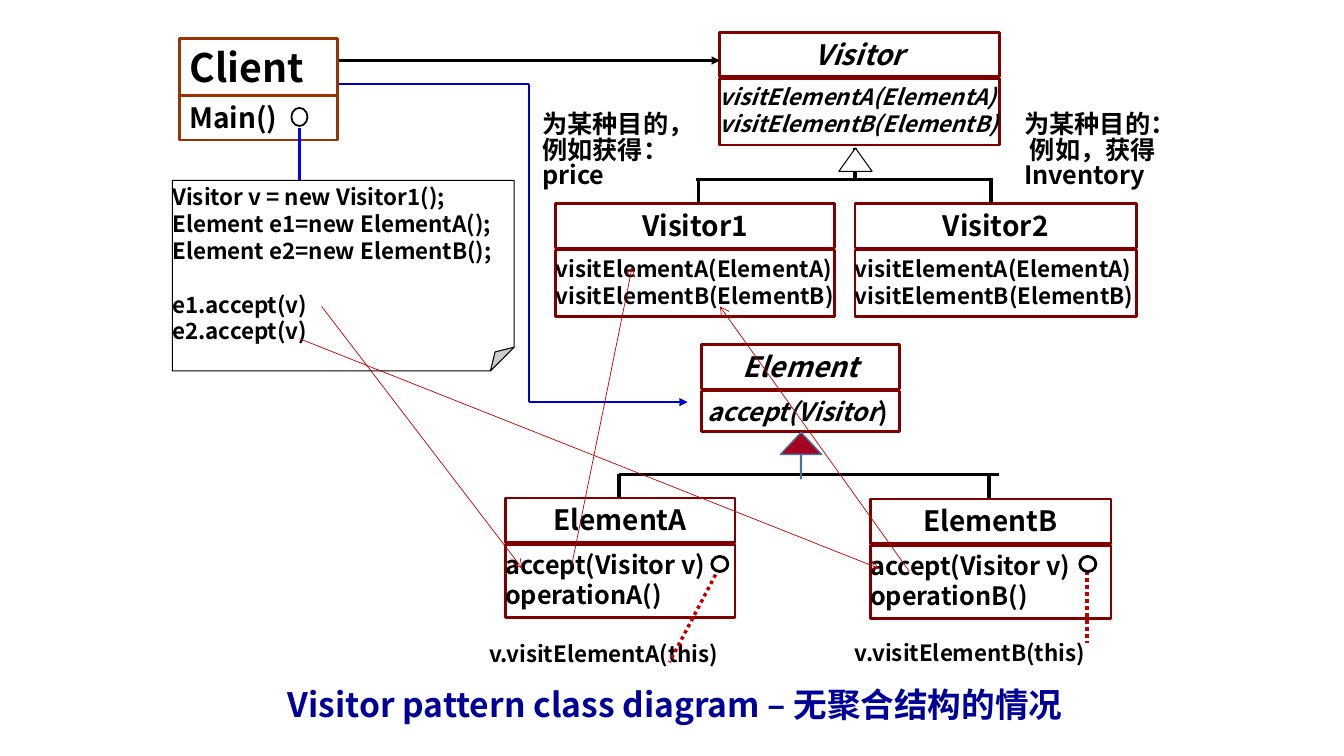
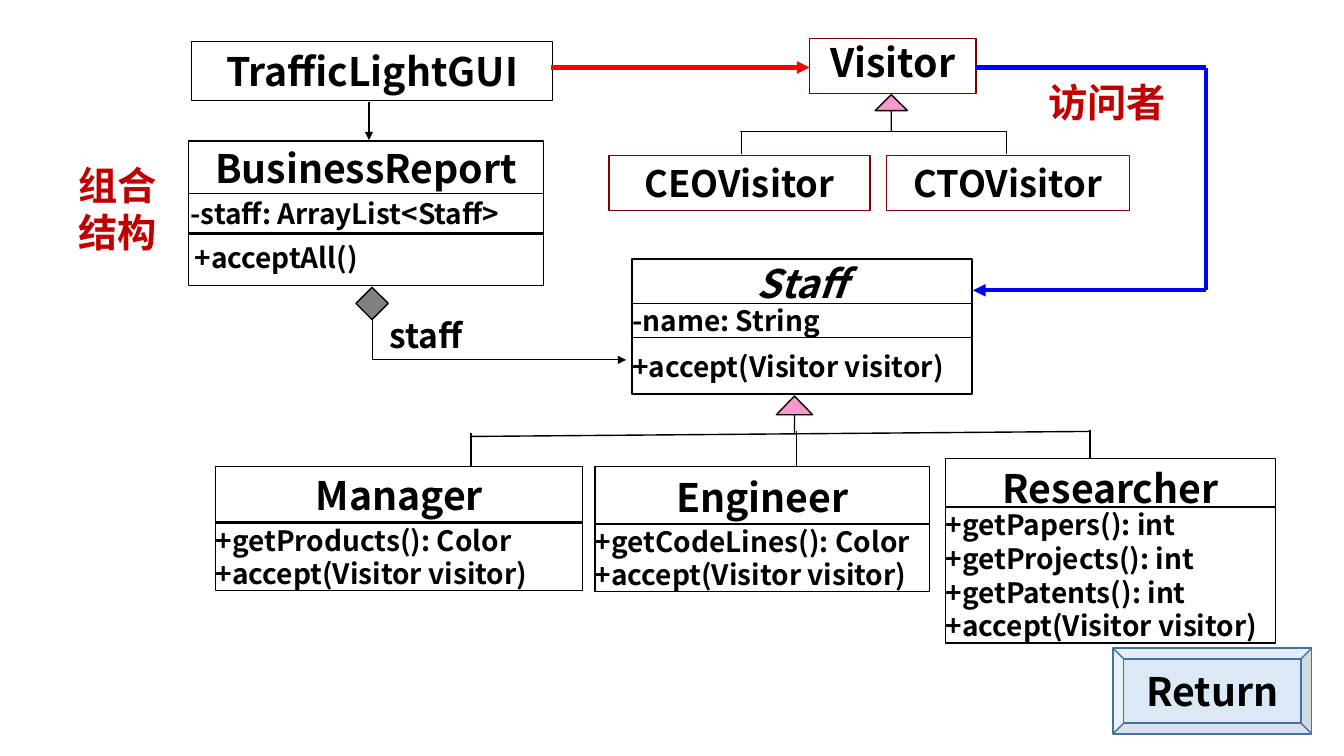
from dataclasses import dataclass, replace
from itertools import pairwise
from typing import Optional

from lxml.etree import SubElement
from pptx import Presentation
from pptx.dml.color import RGBColor
from pptx.enum.dml import MSO_LINE
from pptx.enum.shapes import MSO_CONNECTOR, MSO_SHAPE
from pptx.enum.text import MSO_ANCHOR, PP_ALIGN
from pptx.oxml.ns import qn
from pptx.util import Inches, Pt

Point = tuple[float, float]
Area = tuple[float, float, float, float]


class Theme:
    """Shared font, colours and type sizes."""
    font = "Noto Sans CJK SC"
    black, white, gray = "000000", "FFFFFF", "808080"
    maroon, brown, crimson = "800000", "993300", "C00000"
    red, wine, pink = "FF0000", "A50021", "FF99CC"
    navy, route_blue, blue = "000099", "0000CC", "0000FF"
    steel, button = "43739E", "5B9BD5"
    heading, subheading, title, name, member, code = 28, 26, 24, 20, 18, 16


@dataclass(frozen=True)
class TextStyle:
    size: int
    color: str = Theme.black
    italic: bool = False
    align: PP_ALIGN = PP_ALIGN.LEFT
    anchor: MSO_ANCHOR = MSO_ANCHOR.TOP
    side: float = 0.1
    edge: float = 0.05
    line_spacing: Optional[float] = None


@dataclass(frozen=True)
class Compartment:
    top: float
    height: float
    lines: tuple[str, ...]
    style: TextStyle


@dataclass(frozen=True)
class UmlClass:
    left: float
    width: float
    compartments: tuple[Compartment, ...]
    border: str = Theme.black
    weight: float = 1


@dataclass(frozen=True)
class Stroke:
    color: str = Theme.black
    weight: float = 1
    head: Optional[str] = None
    dash: Optional[MSO_LINE] = None


# Text styles
NAME = TextStyle(Theme.name, align=PP_ALIGN.CENTER)
CODE = TextStyle(Theme.code, side=0)
MEMBER = replace(CODE, size=Theme.member)
CAPTION = TextStyle(Theme.member, line_spacing=0.85)
FIELD = TextStyle(Theme.name, anchor=MSO_ANCHOR.MIDDLE, side=0, edge=0)
HEADING = replace(FIELD, size=Theme.heading, align=PP_ALIGN.CENTER)
RED_LABEL = TextStyle(Theme.heading, Theme.crimson)


# Drawing functions
def write_text(shape, lines: tuple[str, ...], style: TextStyle) -> None:
    frame = shape.text_frame
    frame_format = {
        "word_wrap": True, "vertical_anchor": style.anchor,
        "margin_left": Inches(style.side), "margin_right": Inches(style.side),
        "margin_top": Inches(style.edge), "margin_bottom": Inches(style.edge),
    }
    for attribute, value in frame_format.items():
        setattr(frame, attribute, value)
    for index, line in enumerate(lines):
        paragraph = frame.add_paragraph() if index else frame.paragraphs[0]
        paragraph.alignment = style.align
        paragraph.line_spacing = style.line_spacing
        add_run(paragraph, line, style)


def add_run(paragraph, text: str, style: TextStyle) -> None:
    run = paragraph.add_run()
    run.text = text
    font_format = {"name": Theme.font, "size": Pt(style.size), "bold": True,
                   "italic": style.italic}
    for attribute, value in font_format.items():
        setattr(run.font, attribute, value)
    run.font.color.rgb = RGBColor.from_string(style.color)
    SubElement(run.font._element, qn("a:ea")).set("typeface", Theme.font)


def add_shape(slide, kind: MSO_SHAPE, at: Area, fill: str = Theme.white,
              border: Optional[str] = Theme.black, weight: float = 1,
              guides: Optional[dict[str, int]] = None):
    shape = slide.shapes.add_shape(kind, *map(Inches, at))
    shape.shadow.inherit = False
    shape.fill.solid()
    shape.fill.fore_color.rgb = RGBColor.from_string(fill)
    if border:
        shape.line.color.rgb = RGBColor.from_string(border)
        shape.line.width = Pt(weight)
    else:
        shape.line.fill.background()
    if guides:
        geometry = shape._element.spPr.find(qn("a:prstGeom"))
        geometry.rewrite_guides(list(guides.items()))
    return shape


def add_block(slide, at: Area, text: str, style: TextStyle) -> None:
    """Add text on a white block without a border."""
    block = add_shape(slide, MSO_SHAPE.RECTANGLE, at, border=None)
    write_text(block, (text,), style)


def add_label(slide, at: Area, text: str, style: TextStyle) -> None:
    write_text(slide.shapes.add_textbox(*map(Inches, at)), (text,), style)


def add_class(slide, uml: UmlClass) -> None:
    for part in uml.compartments:
        at = (uml.left, part.top, uml.width, part.height)
        shape = add_shape(slide, MSO_SHAPE.RECTANGLE, at, border=uml.border, weight=uml.weight)
        write_text(shape, part.lines, part.style)


def add_route(slide, stroke: Stroke, *points: Point) -> None:
    """Join the points with straight connectors; the last one has the head."""
    for start, end in pairwise(points):
        connector = slide.shapes.add_connector(MSO_CONNECTOR.STRAIGHT, *map(Inches, start + end))
        connector.line.color.rgb = RGBColor.from_string(stroke.color)
        connector.line.width = Pt(stroke.weight)
        if stroke.dash:
            connector.line.dash_style = stroke.dash
        if stroke.head and end == points[-1]:
            tail = SubElement(connector._element.spPr.find(qn("a:ln")), qn("a:tailEnd"))
            tail.set("type", stroke.head)
        SubElement(connector._element.spPr, qn("a:effectLst"))


def add_tree(slide, stroke: Stroke, bar: tuple[Point, Point],
             *drops: tuple[float, float, float]) -> None:
    """Draw an inheritance bar and its (x, top, bottom) drops."""
    add_route(slide, stroke, *bar)
    for x, top, bottom in drops:
        add_route(slide, stroke, (x, top), (x, bottom))


def pattern_class(left: float, top: float, width: float, name: str, height: float,
                  members: tuple[str, ...], style: TextStyle, italic: bool = False) -> UmlClass:
    return UmlClass(left, width, (
        Compartment(top, 0.44, (name,), replace(NAME, italic=italic)),
        Compartment(top + 0.46, height, members, replace(style, italic=italic)),
    ), Theme.maroon, 2)


def build_pattern_slide(slide) -> None:
    thick = Stroke(weight=2.5)
    visits = ("visitElementA(ElementA)", "visitElementB(ElementB)")

    # Visitor hierarchy
    for left, top, width, name, italic in ((7.14, 0.32, 2.77, "Visitor", True),
                                           (5.51, 2.02, 2.77, "Visitor1", False),
                                           (8.48, 2.02, 2.79, "Visitor2", False)):
        add_class(slide, pattern_class(left, top, width, name, 0.66, visits, CODE, italic))
    add_tree(slide, thick, ((6.9, 1.78), (9.85, 1.78)),
             (9.83, 1.78, 2.01), (6.93, 1.78, 2.01), (8.48, 1.47, 1.78))
    add_shape(slide, MSO_SHAPE.ISOSCELES_TRIANGLE, (8.32, 1.47, 0.33, 0.23), weight=0.75)

    # Element hierarchy
    signature_style = replace(MEMBER, side=0.06)
    add_class(slide, pattern_class(6.96, 3.42, 1.96, "Element", 0.4, ("accept(Visitor",),
                                   signature_style, True))
    add_run(slide.shapes[-1].text_frame.paragraphs[0], ")", signature_style)
    add_tree(slide, thick, ((6.14, 4.71), (9.91, 4.71)), (6.14, 4.7, 4.94), (9.81, 4.72, 4.96))
    for letter, left, top, width in (("A", 5.01, 4.94, 2.28), ("B", 8.63, 4.95, 2.39)):
        members = ("accept(Visitor v)", f"operation{letter}()")
        add_class(slide, pattern_class(left, top, width, f"Element{letter}", 0.73, members, MEMBER))
    add_shape(slide, MSO_SHAPE.UP_ARROW, (7.74, 4.29, 0.41, 0.46), Theme.wine, Theme.steel,
              guides={"adj1": 2300, "adj2": 53400})

    # Calls made inside accept
    dotted = Stroke(Theme.crimson, 2.5, dash=MSO_LINE.ROUND_DOT)
    for letter, call, circle, start, end in (
            ("A", (4.85, 6.3, 2.29, 0.37), 7.06, (7.13, 5.64), (6.64, 6.57)),
            ("B", (8.48, 6.29, 2.83, 0.37), 10.71, (10.78, 5.6), (10.78, 6.38))):
        add_block(slide, call, f"v.visitElement{letter}(this)", CODE)
        add_route(slide, dotted, start, end)
        add_shape(slide, MSO_SHAPE.OVAL, (circle, 5.52, 0.16, 0.15), weight=2)

    # Captions and title
    add_block(slide, (5.28, 1.07, 1.5, 0.87), "为某种目的，例如获得： price", CAPTION)
    add_block(slide, (10.06, 1.07, 1.57, 0.87), "为某种目的： 例如，获得Inventory", CAPTION)
    add_label(slide, (2.44, 6.74, 8.51, 0.5), "Visitor pattern class diagram – 无聚合结构的情况",
              TextStyle(Theme.title, Theme.navy, align=PP_ALIGN.CENTER))

    # Client, its references and its code note
    add_route(slide, Stroke(weight=1.5, head="triangle"), (3.36, 0.6), (7.14, 0.6))
    add_route(slide, Stroke(Theme.route_blue, 1.5, "triangle"),
              (3.36, 0.83), (5.25, 0.83), (5.25, 3.99), (6.82, 3.99))
    add_class(slide, UmlClass(1.78, 1.57, (
        Compartment(0.38, 0.57, ("Client",), TextStyle(Theme.heading)),
        Compartment(0.95, 0.44, ("Main()",), TextStyle(Theme.name)),
    ), Theme.brown, 2))
    note = add_shape(slide, MSO_SHAPE.FOLDED_CORNER, (1.71, 1.79, 3.39, 1.89), weight=0.75,
                     guides={"adj": 12500})
    write_text(note, ("Visitor v = new Visitor1();", "Element e1=new ElementA();",
                      "Element e2=new ElementB();", "e1.accept(v)", "e2.accept(v)"),
               replace(CODE, anchor=MSO_ANCHOR.MIDDLE))
    note.text_frame.paragraphs[3].space_before = Pt(19.3)
    add_shape(slide, MSO_SHAPE.OVAL, (2.89, 1.07, 0.16, 0.18), weight=1.25)
    add_route(slide, Stroke(Theme.blue, 2.5), (2.97, 1.27), (2.97, 1.79))

    # Double dispatch arrows
    for start, end in (((3.19, 3.04), (5.18, 5.64)), ((2.97, 3.36), (8.72, 5.64)),
                       ((5.67, 5.61), (6.27, 2.65)), ((9.02, 5.67), (7.14, 3.04))):
        add_route(slide, Stroke(Theme.crimson, 0.5, "arrow"), start, end)


def build_report_slide(slide) -> None:
    hairline = Stroke(weight=0.75)
    hairline_arrow = replace(hairline, head="triangle")
    top_heading = replace(HEADING, anchor=MSO_ANCHOR.TOP)
    accept = "+accept(Visitor visitor)"

    # Inheritance lines and aggregation
    add_tree(slide, Stroke(), ((4.67, 4.33), (10.82, 4.28)),
             (4.67, 4.3, 5.17), (7.9, 4.28, 4.77), (10.81, 4.27, 4.77))
    add_tree(slide, hairline, ((7.34, 1.3), (9.98, 1.3)), (7.35, 1.3, 1.53), (9.98, 1.3, 1.53))
    add_route(slide, hairline_arrow, (3.69, 3.16), (3.69, 3.57), (6.21, 3.57))
    add_route(slide, hairline_arrow, (3.66, 1.01), (3.66, 1.39))
    add_block(slide, (3.77, 3.12, 0.91, 0.4), "staff", replace(top_heading, size=Theme.title))
    add_shape(slide, MSO_SHAPE.DIAMOND, (3.53, 2.85, 0.32, 0.32), Theme.gray)
    for at, neck in (((7.7, 3.93, 0.36, 0.36), 51400), ((8.68, 0.94, 0.32, 0.36), 49200)):
        add_shape(slide, MSO_SHAPE.UP_ARROW, at, Theme.pink, guides={"adj1": 0, "adj2": neck})

    # Classes with members
    for left, width, *compartments in (
            (1.9, 3.58, (0.41, 0.59, ("TrafficLightGUI",), HEADING)),
            (1.87, 3.52, (1.4, 0.52, ("BusinessReport",), HEADING),
             (2.32, 0.51, ("+acceptAll()",), replace(FIELD, side=0.06, line_spacing=0.9)),
             (1.92, 0.39, ("-staff: ArrayList<Staff>",), replace(FIELD, side=0.02))),
            (6.27, 3.37, (2.57, 0.47, ("Staff",), replace(HEADING, italic=True)),
             (3.35, 0.56, (accept,), FIELD), (3.01, 0.34, ("-name: String",), FIELD)),
            (2.14, 3.64, (4.63, 0.55, ("Manager",), HEADING),
             (5.19, 0.67, ("+getProducts(): Color", accept), FIELD)),
            (5.9, 3.32, (4.63, 0.59, ("Engineer",), HEADING),
             (5.2, 0.67, ("+getCodeLines(): Color", accept), FIELD)),
            (9.38, 3.27, (4.55, 0.57, ("Researcher",), HEADING),
             (5.03, 1.35, ("+getPapers(): int", "+getProjects(): int", "+getPatents(): int",
                           accept), FIELD))):
        add_class(slide, UmlClass(left, width, tuple(Compartment(*part) for part in compartments)))

    # Visitor classes
    subheading = replace(HEADING, size=Theme.subheading)
    for left, top, width, name, style in ((8.03, 0.38, 1.65, "Visitor", top_heading),
                                          (8.79, 1.54, 2.41, "CTOVisitor", subheading),
                                          (6.04, 1.54, 2.59, "CEOVisitor", subheading)):
        name_part = Compartment(top, 0.55, (name,), style)
        add_class(slide, UmlClass(left, width, (name_part,), Theme.maroon))

    # Visitor references
    add_route(slide, Stroke(Theme.red, 3, "triangle"), (5.47, 0.67), (8.03, 0.67))
    add_route(slide, Stroke(Theme.blue, 3, "triangle"),
              (9.68, 0.67), (11.96, 0.67), (11.96, 2.88), (9.65, 2.88))

    # Red labels and return button
    add_label(slide, (0.68, 1.55, 1.09, 1.04), "组合结构", RED_LABEL)
    add_label(slide, (10.12, 0.73, 1.72, 0.57), "访问者", replace(RED_LABEL, align=PP_ALIGN.CENTER))
    button = add_shape(slide, MSO_SHAPE.BEVEL, (11.04, 6.43, 1.97, 0.85), Theme.button, Theme.steel)
    color = button._element.spPr.find(qn("a:solidFill")).find(qn("a:srgbClr"))
    SubElement(color, qn("a:alpha")).set("val", "22000")
    write_text(button, ("Return",), HEADING)


def main() -> None:
    presentation = Presentation()
    presentation.slide_width = Inches(13.33)
    presentation.slide_height = Inches(7.5)
    for build in (build_pattern_slide, build_report_slide):
        build(presentation.slides.add_slide(presentation.slide_layouts[6]))
    presentation.save("out.pptx")


if __name__ == "__main__":
    main()
